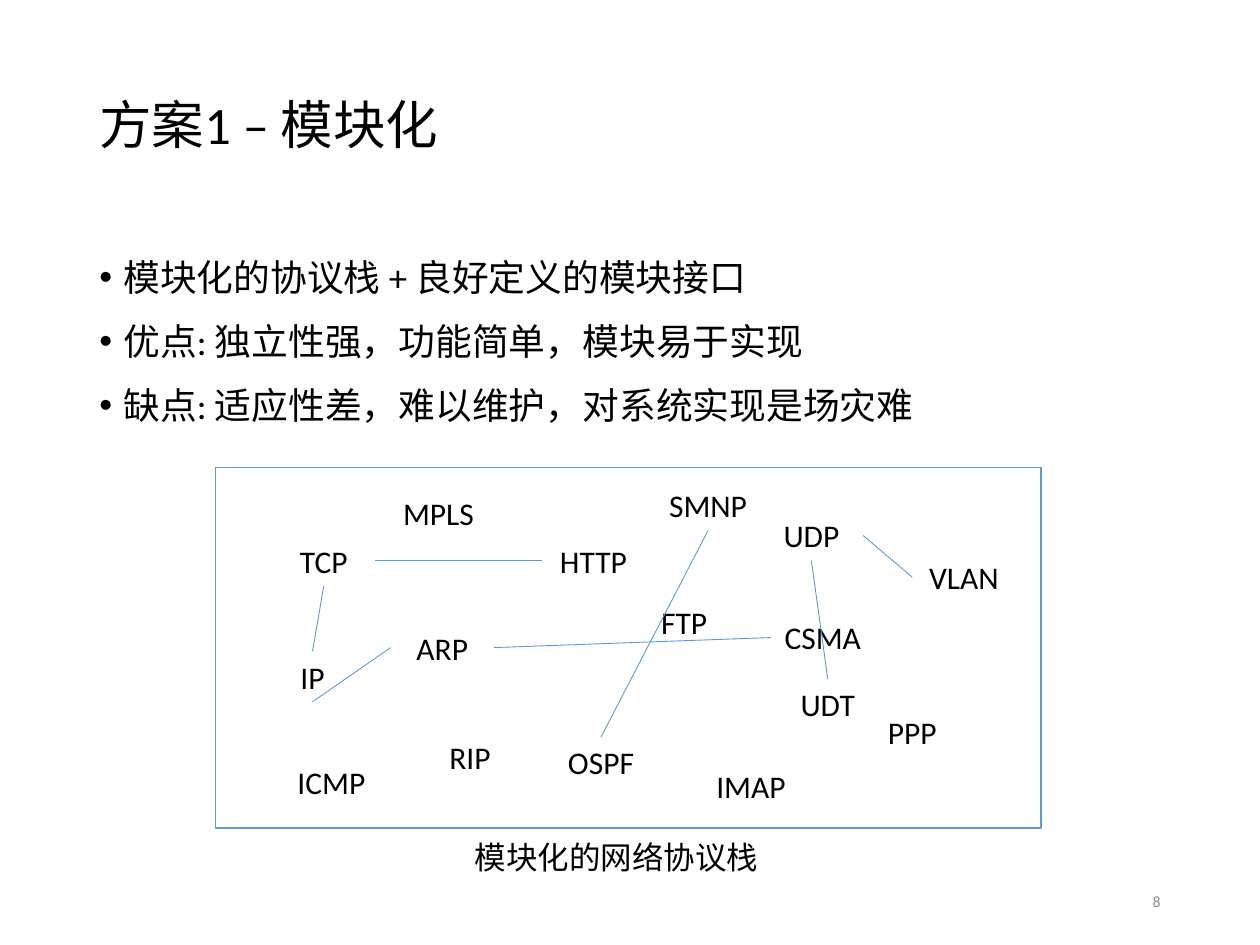
import dataclasses

import pptx
import pptx.dml.color
import pptx.enum.shapes
import pptx.enum.text
import pptx.oxml.ns
import pptx.util
from lxml import etree

ALIGN = pptx.enum.text.PP_ALIGN
ANCHOR = pptx.enum.text.MSO_ANCHOR
COLORS = {"paper": "FFFFFF", "ink": "000000", "accent": "5B9BD5", "muted": "8C8C8C"}
LATIN, CJK = "Calibri", "Noto Sans CJK SC"
COLUMNS, ROWS = 100, 75
CELL = pptx.util.Inches(0.1)
LABEL_COLUMNS, LABEL_ROWS = 8.2, 4
TOP, LEFT, BOTTOM, RIGHT = range(4)

POINTS = [
    "模块化的协议栈 + 良好定义的模块接口",
    "优点: 独立性强，功能简单，模块易于实现",
    "缺点: 适应性差，难以维护，对系统实现是场灾难",
]
PROTOCOLS = {
    "TCP": (4.5, 5.4), "ARP": (13.9, 12.3), "HTTP": (25.9, 5.4), "IP": (3.6, 14.6),
    "OSPF": (26.5, 21.4), "CSMA": (44.1, 11.5), "RIP": (16.1, 21), "IMAP": (38.4, 23.3),
    "UDP": (43.2, 3.4), "PPP": (51.2, 19), "VLAN": (55.3, 6.7), "MPLS": (13.6, 1.6),
    "FTP": (33.1, 10.3), "SMNP": (35, 1), "UDT": (44.5, 16.8), "ICMP": (5.1, 23),
}
LINKS = [
    ("HTTP", LEFT, "TCP", RIGHT), ("TCP", BOTTOM, "IP", TOP),
    ("IP", BOTTOM, "ARP", LEFT), ("ARP", RIGHT, "CSMA", LEFT),
    ("UDT", TOP, "UDP", BOTTOM), ("UDP", RIGHT, "VLAN", LEFT),
    ("SMNP", BOTTOM, "OSPF", TOP),
]


@dataclasses.dataclass
class Box:
    """A region measured in grid columns and rows."""
    column: float
    row: float
    columns: float
    rows: float

    def inner(self, column, row, columns, rows):
        """Return a box placed relative to this one."""
        return Box(self.column + column, self.row + row, columns, rows)

    def lengths(self):
        """Return left, top, width and height as slide lengths."""
        return [round(cells * CELL) for cells in dataclasses.astuple(self)]


def color(name):
    """Return a named palette colour."""
    return pptx.dml.color.RGBColor.from_string(COLORS[name])


def add_text(slide, box, lines, size, ink="ink", latin=LATIN,
             align=ALIGN.LEFT, anchor=ANCHOR.TOP, wrap=True):
    """Add a text box with one paragraph for each line."""
    text_box = slide.shapes.add_textbox(*box.lengths())
    frame = text_box.text_frame
    frame.word_wrap = wrap
    frame.vertical_anchor = anchor
    for index, line in enumerate(lines):
        paragraph = frame.paragraphs[0] if index == 0 else frame.add_paragraph()
        paragraph.alignment = align
        run = paragraph.add_run()
        run.text = line
        run.font.size = pptx.util.Pt(size)
        run.font.color.rgb = color(ink)
        run.font.name = latin
        east_asian = etree.SubElement(run.font._element, pptx.oxml.ns.qn("a:ea"))
        east_asian.set("typeface", CJK)
    return text_box


def add_title(slide, box):
    """Add the slide title."""
    title = add_text(slide, box, ["方案1 – 模块化"], 30, anchor=ANCHOR.MIDDLE)
    title.text_frame.paragraphs[0].line_spacing = 0.9


def add_points(slide, box):
    """Add the bulleted points."""
    points = add_text(slide, box, POINTS, 21)
    indent = pptx.util.Inches(0.19)
    for paragraph in points.text_frame.paragraphs:
        paragraph.line_spacing = 1.15
        paragraph.space_before = pptx.util.Pt(7.5)
        properties = paragraph._p.get_or_add_pPr()
        properties.set("marL", str(indent))
        properties.set("indent", str(-indent))
        font = etree.SubElement(properties, pptx.oxml.ns.qn("a:buFont"))
        font.set("typeface", "Arial")
        bullet = etree.SubElement(properties, pptx.oxml.ns.qn("a:buChar"))
        bullet.set("char", "•")


def add_protocol(slide, box, name):
    """Add one protocol label."""
    label = add_text(slide, box, [name], 18, align=ALIGN.CENTER)
    label.text_frame.margin_left = label.text_frame.margin_right = pptx.util.Inches(0.05)
    return label


def add_link(slide, start, start_side, end, end_side):
    """Join two protocol labels with a thin line."""
    link = slide.shapes.add_connector(pptx.enum.shapes.MSO_CONNECTOR.STRAIGHT, 0, 0, 0, 0)
    link.begin_connect(start, start_side)
    link.end_connect(end, end_side)
    link.line.color.rgb = color("accent")
    link.line.width = pptx.util.Pt(0.5)
    etree.SubElement(link._element.spPr, pptx.oxml.ns.qn("a:effectLst"))


def add_stack(slide, box):
    """Add the framed protocol stack with its caption."""
    frame = slide.shapes.add_shape(pptx.enum.shapes.MSO_SHAPE.RECTANGLE, *box.lengths())
    frame.shadow.inherit = False
    frame.fill.solid()
    frame.fill.fore_color.rgb = color("paper")
    frame.line.color.rgb = color("accent")
    frame.line.width = pptx.util.Pt(1)
    add_text(slide, box.inner(19.6, box.rows + 0.3, 24.7, LABEL_ROWS),
             ["模块化的网络协议栈"], 18, latin=CJK, wrap=False)
    labels = {
        name: add_protocol(slide, box.inner(*place, LABEL_COLUMNS, LABEL_ROWS), name)
        for name, place in PROTOCOLS.items()
    }
    for start, start_side, end, end_side in LINKS:
        add_link(slide, labels[start], start_side, labels[end], end_side)


def add_page_number(slide, box):
    """Add the page number."""
    add_text(slide, box, ["8"], 9, ink="muted", align=ALIGN.RIGHT, anchor=ANCHOR.MIDDLE)


def main():
    """Build and save the slide."""
    deck = pptx.Presentation()
    deck.slide_width, deck.slide_height = COLUMNS * CELL, ROWS * CELL
    slide = deck.slides.add_slide(deck.slide_layouts[6])
    add_title(slide, Box(6.9, 4, 86.2, 12.3))
    add_points(slide, Box(6.9, 19.2, 86.2, 15.8))
    add_page_number(slide, Box(70.6, 69.5, 22.5, 4))
    add_stack(slide, Box(17.1, 37.1, 65.5, 28.6))
    deck.save("out.pptx")


if __name__ == "__main__":
    main()
